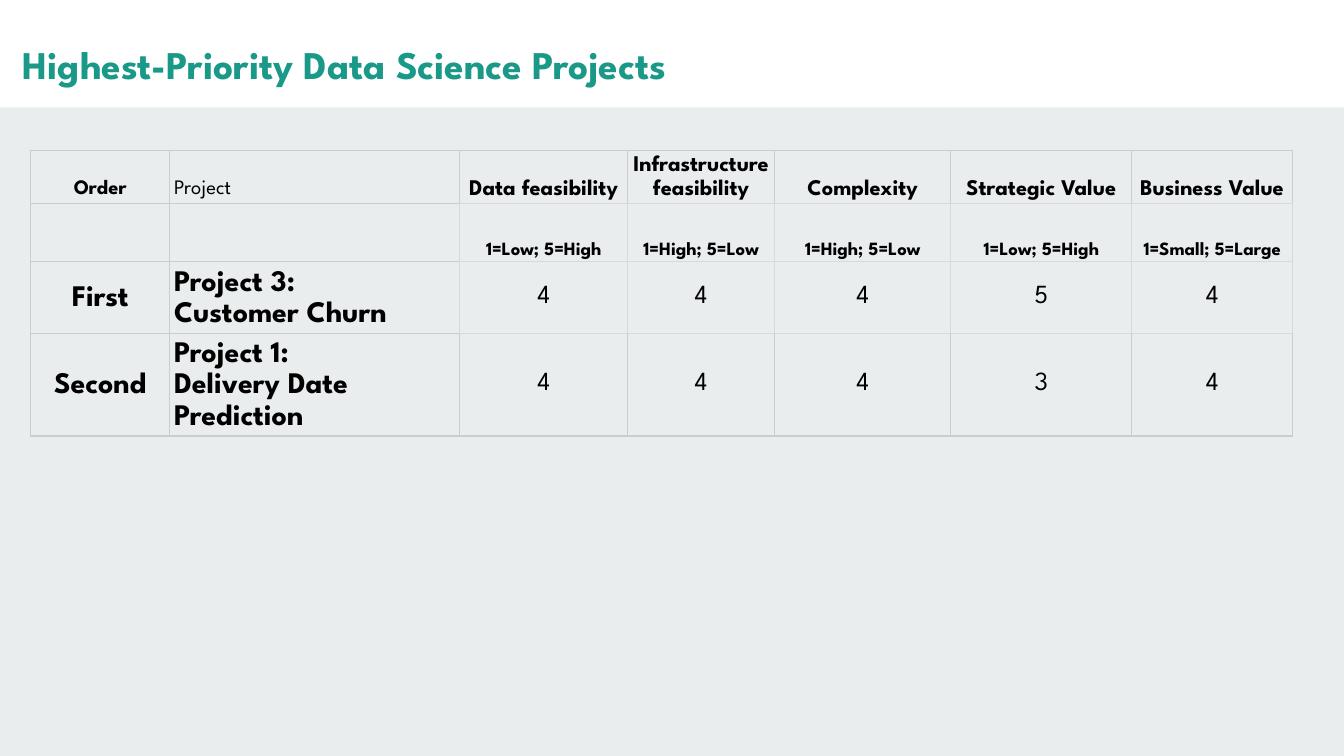
from lxml import etree
from pptx import Presentation
from pptx import util as u
from pptx.dml.color import RGBColor
from pptx.enum import shapes, text
from pptx.oxml import ns

SLIDE_WIDTH, SLIDE_HEIGHT = 25.4, 14.29
COLUMN_WIDTHS = [2.63, 5.48, 3.17, 2.78, 3.33, 3.42, 3.04]
ROW_HEIGHTS = [1, 1.11, 1.32, 1.93]
PRIORITIES = [
    ["Order", "Project", "Data feasibility", "Infrastructure feasibility",
     "Complexity", "Strategic Value", "Business Value"],
    ["", "", "1=Low; 5=High", "1=High; 5=Low", "1=High; 5=Low",
     "1=Low; 5=High", "1=Small; 5=Large"],
    ["First", "Project 3:\nCustomer Churn", "4", "4", "4", "5", "4"],
    ["Second", "Project 1:\nDelivery Date Prediction", "4", "4", "4", "3", "4"],
]
LABEL_SIZES = [11, 10, 16, 16]
SCORE_SIZES = [12, 10, 14, 14]
SIDES = {"lnL": (0, -1), "lnR": (0, 1), "lnT": (-1, 0), "lnB": (1, 0)}


def rgb(value):
    return RGBColor.from_string(value)


def in_score_block(row, column):
    return row in (1, 2) and 2 <= column < len(COLUMN_WIDTHS)


class Deck:
    font = "League Spartan"
    ink = "000000"
    accent = "1A9988"
    ground = "E9EDEE"
    band_color = "FFFFFF"
    grid = "CCCCCC"
    score_grid = "D9D9D9"

    def __init__(self):
        self.presentation = Presentation()
        self.presentation.slide_width = u.Cm(SLIDE_WIDTH)
        self.presentation.slide_height = u.Cm(SLIDE_HEIGHT)
        self.slide = None

    def add_slide(self):
        layout = self.presentation.slide_layouts.get_by_name("Title Only")
        self.slide = self.presentation.slides.add_slide(layout)
        background = self.slide.background.fill
        background.solid()
        background.fore_color.rgb = rgb(self.ground)

    def band(self, left, top, width, height):
        band = self.slide.shapes.add_shape(
            shapes.MSO_SHAPE.RECTANGLE,
            u.Cm(left), u.Cm(top), u.Cm(width), u.Cm(height))
        band.shadow.inherit = False
        band.fill.solid()
        band.fill.fore_color.rgb = rgb(self.band_color)
        band.line.fill.background()
        self.slide.shapes.title._element.addprevious(band._element)

    def style(self, paragraph, size, bold, color, align, spacing):
        paragraph.alignment = align
        paragraph.line_spacing = spacing
        paragraph.font.name = self.font
        paragraph.font.size = u.Pt(size)
        paragraph.font.bold = bold
        paragraph.font.color.rgb = rgb(color)

    def title(self, wording, left, top, width, height):
        title = self.slide.shapes.title
        title.left, title.top = u.Cm(left), u.Cm(top)
        title.width, title.height = u.Cm(width), u.Cm(height)
        frame = title.text_frame
        frame.text = wording
        frame.word_wrap = True
        frame.auto_size = text.MSO_AUTO_SIZE.NONE
        frame.vertical_anchor = text.MSO_ANCHOR.TOP
        frame.margin_left = frame.margin_right = u.Cm(0.25)
        frame.margin_top = frame.margin_bottom = u.Cm(0.25)
        self.style(frame.paragraphs[0], 21, True, self.accent,
                   text.PP_ALIGN.LEFT, 1.15)

    def borders(self, cell, row, column):
        properties = cell._tc.get_or_add_tcPr()
        for index, (side, (down, across)) in enumerate(SIDES.items()):
            scored = (in_score_block(row, column)
                      or in_score_block(row + down, column + across))
            line = etree.Element(ns.qn(f"a:{side}"), w=str(u.Pt(0.75)))
            fill = etree.SubElement(line, ns.qn("a:solidFill"))
            etree.SubElement(fill, ns.qn("a:srgbClr"),
                             val=self.score_grid if scored else self.grid)
            properties.insert(index, line)

    def cell(self, cell, wording, row, column):
        heading, label = row < 2, column < 2
        cell.text = wording
        cell.fill.background()
        cell.vertical_anchor = (text.MSO_ANCHOR.BOTTOM if heading
                                else text.MSO_ANCHOR.MIDDLE)
        cell.margin_left = cell.margin_right = u.Cm(0.08)
        cell.margin_top = cell.margin_bottom = u.Cm(
            0.05 if heading and not label else 0.08)
        size = (LABEL_SIZES if label else SCORE_SIZES)[row]
        bold = (row, column) != (0, 1) and (heading or label)
        align = text.PP_ALIGN.LEFT if column == 1 else text.PP_ALIGN.CENTER
        spacing = 1.15 if heading or label else 1
        for paragraph in cell.text_frame.paragraphs:
            self.style(paragraph, size, bold, self.ink, align, spacing)
        self.borders(cell, row, column)

    def table(self, rows, left, top):
        table = self.slide.shapes.add_table(
            len(rows), len(COLUMN_WIDTHS), u.Cm(left), u.Cm(top),
            u.Cm(sum(COLUMN_WIDTHS)), u.Cm(sum(ROW_HEIGHTS))).table
        table.first_row = table.horz_banding = False
        for column, width in zip(table.columns, COLUMN_WIDTHS):
            column.width = u.Cm(width)
        for row, height in zip(table.rows, ROW_HEIGHTS):
            row.height = u.Cm(height)
        for row, wordings in enumerate(rows):
            for column, wording in enumerate(wordings):
                self.cell(table.cell(row, column), wording, row, column)

    def save(self):
        self.presentation.save("out.pptx")


def main():
    deck = Deck()
    deck.add_slide()
    deck.band(0, 0, SLIDE_WIDTH, 2.03)
    deck.title("Highest-Priority Data Science Projects", 0.18, 0.38, 21.44, 0.94)
    deck.table(PRIORITIES, 0.58, 2.84)
    deck.save()


if __name__ == "__main__":
    main()
